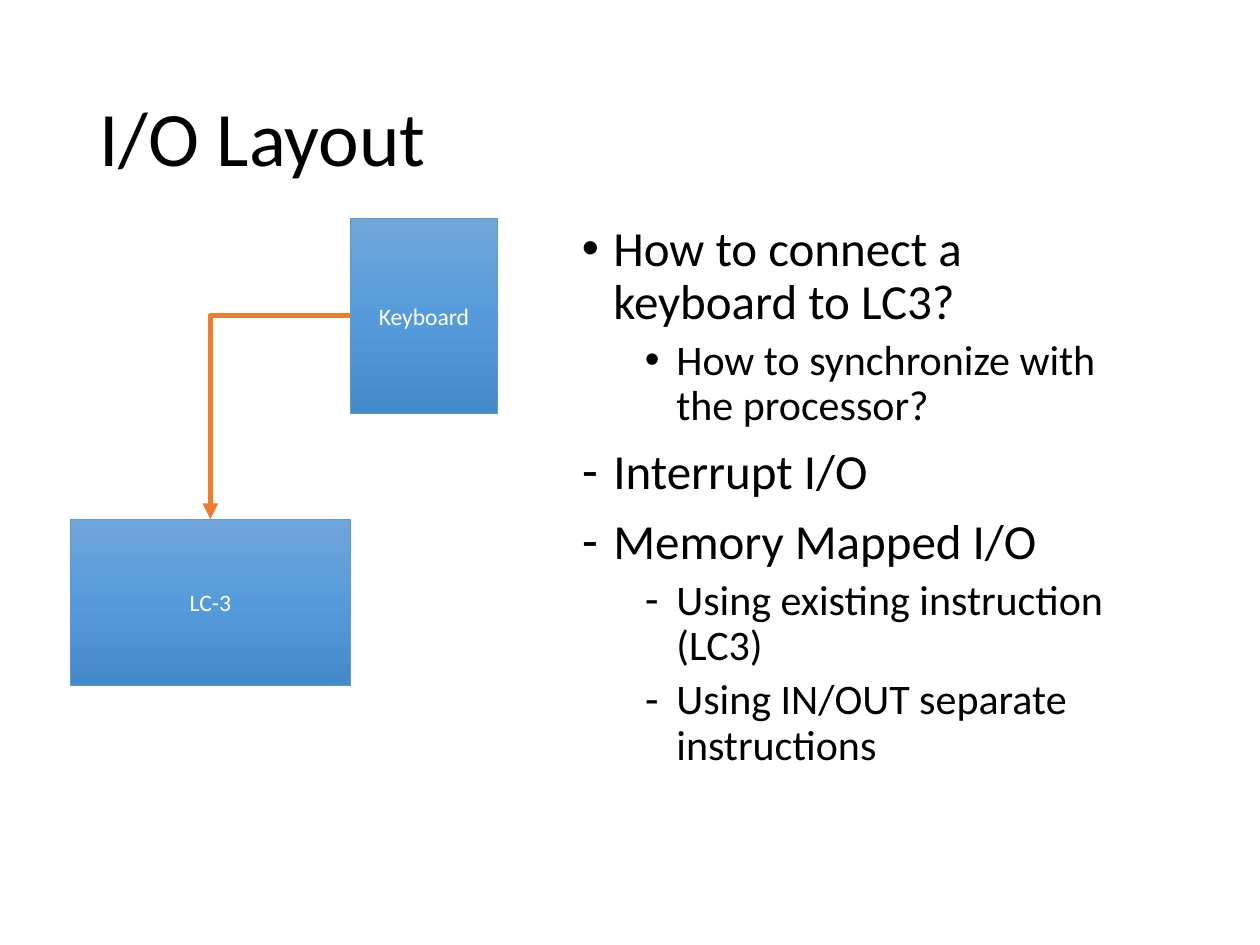
from copy import deepcopy

from pptx import Presentation
from pptx.dml.color import RGBColor
from pptx.enum.shapes import MSO_CONNECTOR, MSO_SHAPE
from pptx.enum.text import MSO_ANCHOR, PP_ALIGN
from pptx.oxml.ns import qn
from pptx.util import Inches, Pt
from lxml import etree

ELBOW = MSO_CONNECTOR.ELBOW
RECT = MSO_SHAPE.RECTANGLE
TOP, MIDDLE = MSO_ANCHOR.TOP, MSO_ANCHOR.MIDDLE
CENTER = PP_ALIGN.CENTER

BLACK = RGBColor(0x00, 0x00, 0x00)
WHITE = RGBColor(0xFF, 0xFF, 0xFF)
BLUE = RGBColor(0x5B, 0x9B, 0xD5)
ORANGE = RGBColor(0xED, 0x7D, 0x31)
GRADIENT = [
    (0, RGBColor(0x71, 0xA6, 0xDB)),
    (0.5, RGBColor(0x55, 0x9B, 0xDB)),
    (1, RGBColor(0x44, 0x8A, 0xCA)),
]

KEYBOARD = (2.78, 1.73, 1.17, 1.55)
LC3 = (0.56, 4.12, 2.22, 1.32)
POINTS = [
    (0, "•", "How to connect a keyboard to LC3?"),
    (1, "•", "How to synchronize with the processor?"),
    (0, "-", "Interrupt I/O"),
    (0, "-", "Memory Mapped I/O"),
    (1, "-", "Using existing instruction (LC3)"),
    (1, "-", "Using IN/OUT separate instructions"),
]


class SlideBuilder:
    font = "Calibri"
    level_sizes = (28, 24)
    level_gaps = (10, 5)

    def __init__(self, slide):
        self.slide = slide

    def run(self, p, text, size, color):
        r = p.add_run()
        r.text = text
        r.font.name = self.font
        r.font.size = Pt(size)
        r.font.color.rgb = color

    def text_frame(self, box, anchor):
        tf = self.slide.shapes.add_textbox(*map(Inches, box)).text_frame
        tf.word_wrap = True
        tf.vertical_anchor = anchor
        return tf

    def title(self, box, text):
        p = self.text_frame(box, MIDDLE).paragraphs[0]
        p.line_spacing = 0.9
        self.run(p, text, 44, BLACK)

    def bullets(self, box, points):
        tf = self.text_frame(box, TOP)
        for i, (level, mark, text) in enumerate(points):
            p = tf.add_paragraph() if i else tf.paragraphs[0]
            p.level = level
            p.line_spacing = 0.9
            p.space_before = Pt(self.level_gaps[level] if i else 0)
            pPr = p._p.get_or_add_pPr()
            pPr.set("marL", str(Inches(0.25 + 0.5 * level)))
            pPr.set("indent", str(Inches(-0.25)))
            etree.SubElement(pPr, qn("a:buFont"), typeface="Arial")
            etree.SubElement(pPr, qn("a:buChar"), char=mark)
            self.run(p, text, self.level_sizes[level], BLACK)

    def block(self, box, text):
        s = self.slide.shapes.add_shape(RECT, *map(Inches, box))
        s.shadow.inherit = False
        s.fill.gradient()
        s.fill.gradient_angle = 270
        stops = s._element.spPr.find(qn("a:gradFill")).find(qn("a:gsLst"))
        stops.append(deepcopy(stops[-1]))
        for stop, (position, color) in zip(s.fill.gradient_stops, GRADIENT):
            stop.position = position
            stop.color.rgb = color
        s.line.color.rgb = BLUE
        s.line.width = Pt(0.5)
        tf = s.text_frame
        tf.word_wrap = True
        tf.vertical_anchor = MIDDLE
        p = tf.paragraphs[0]
        p.alignment = CENTER
        self.run(p, text, 13.5, WHITE)

    def elbow_arrow(self, start, end):
        c = self.slide.shapes.add_connector(ELBOW, *map(Inches, start + end))
        c.line.color.rgb = ORANGE
        c.line.width = Pt(3)
        spPr = c._element.spPr
        spPr.find(qn("a:prstGeom")).set("prst", "bentConnector2")
        etree.SubElement(c.line._get_or_add_ln(), qn("a:tailEnd"), type="triangle")
        etree.SubElement(spPr, qn("a:effectLst"))


def main():
    prs = Presentation()
    prs.slide_width, prs.slide_height = Inches(10), Inches(7.5)
    builder = SlideBuilder(prs.slides.add_slide(prs.slide_layouts[6]))
    builder.title((0.69, 0.4, 8.62, 1.45), "I/O Layout")
    builder.bullets((4.52, 1.73, 4.67, 4.77), POINTS)
    builder.block(KEYBOARD, "Keyboard")
    builder.block(LC3, "LC-3")
    keyboard_left = (KEYBOARD[0], KEYBOARD[1] + KEYBOARD[3] / 2)
    lc3_top = (LC3[0] + LC3[2] / 2, LC3[1])
    builder.elbow_arrow(keyboard_left, lc3_top)
    prs.save("out.pptx")


if __name__ == "__main__":
    main()
